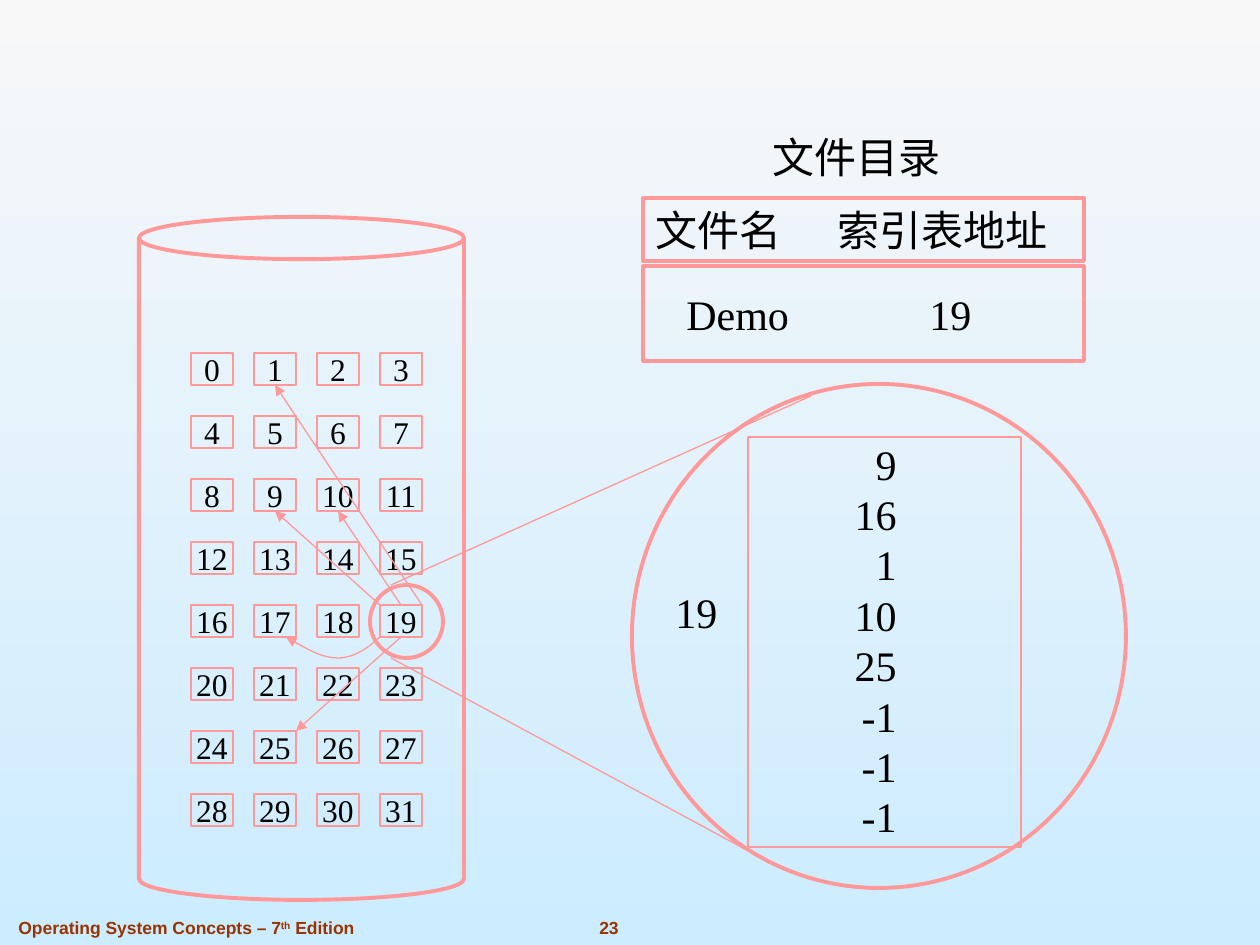
from lxml import etree
from pptx import Presentation
from pptx.dml.color import RGBColor
from pptx.enum.shapes import MSO_CONNECTOR, MSO_SHAPE
from pptx.enum.text import MSO_ANCHOR, PP_ALIGN
from pptx.oxml.ns import qn
from pptx.util import Pt

RECT, OVAL, CAN = MSO_SHAPE.RECTANGLE, MSO_SHAPE.OVAL, MSO_SHAPE.CAN
STRAIGHT = MSO_CONNECTOR.STRAIGHT
LEFT, CENTER, RIGHT = PP_ALIGN.LEFT, PP_ALIGN.CENTER, PP_ALIGN.RIGHT
TOP, MIDDLE = MSO_ANCHOR.TOP, MSO_ANCHOR.MIDDLE
PX = 914400 / 126
PINK, BLACK, BROWN = "FF9999", "000000", "993300"
color = RGBColor.from_string


def outline(shape, weight, arrow=False):
    shape.line.color.rgb = color(PINK)
    shape.line.width = Pt(weight)
    if arrow:
        etree.SubElement(shape.line._get_or_add_ln(), qn("a:tailEnd"), type="triangle")


def write(shape, lines, size=24, align=LEFT, anchor=TOP, wrap=True, tab=0,
          face="Times New Roman", ink=BLACK, bold=False):
    """Fill a shape with paragraphs; tab is the place of one tab stop in px."""
    frame = shape.text_frame
    frame.word_wrap = wrap
    frame.vertical_anchor = anchor
    frame.text = "\n".join(lines)
    for para in frame.paragraphs:
        para.alignment = align
        if tab:
            stops = etree.SubElement(para._p.get_or_add_pPr(), qn("a:tabLst"))
            etree.SubElement(stops, qn("a:tab"), pos=str(round(tab * PX)), algn="l")
        para.font.size = Pt(size)
        para.font.name = face
        para.font.bold = bold
        para.font.color.rgb = color(ink)


deck = Presentation()
deck.slide_width, deck.slide_height = round(1260 * PX), round(945 * PX)
slide = deck.slides.add_slide(deck.slide_layouts[6])
shapes = slide.shapes

back = slide.background.fill
back.gradient()
back.gradient_angle = 270
for stop, tint in zip(back.gradient_stops, ("F8F8F8", "CCECFF")):
    stop.color.rgb = color(tint)

# Outlined shapes: 32 disk blocks, then the larger frames
blocks = [(RECT, 191 + 63 * (n % 4), 353 + 63 * (n // 4), 42, 32, 0.75)
          for n in range(32)]
frames = [
    (CAN, 139, 217, 325, 683, 2.25),
    (RECT, 643, 198, 441, 63, 2.25),
    (RECT, 643, 266, 441, 95, 2.25),
    (OVAL, 370, 585, 73, 73, 2.25),
    (RECT, 748, 437, 273, 410, 0.75),
    (OVAL, 632, 384, 494, 504, 2.25),
]
drawn = []
for kind, x, y, w, h, weight in blocks + frames:
    shape = shapes.add_shape(kind, *(round(v * PX) for v in (x, y, w, h)))
    shape.shadow.inherit = False
    shape.fill.background()
    outline(shape, weight)
    drawn.append(shape)
cells = drawn[:32]
disk, header = drawn[32:34]
disk.adjustments[0] = 0.13
for n, cell in enumerate(cells):
    write(cell, [str(n)], 18, CENTER, MIDDLE, wrap=False)
write(header, ["文件名\t索引表地址"], tab=182)

# Free text
index = ["9", "16", "1", "10", "25", "-1", "-1", "-1"]
foot = {"size": 10, "face": "Arial", "ink": BROWN, "bold": True}
texts = [
    (760, 125, 200, 63, ["文件目录"], {}),
    (674, 282, 368, 63, ["Demo\t19"], {"tab": 243}),
    (838, 432, 71, 416, index, {"align": RIGHT}),
    (663, 580, 80, 63, ["19"], {}),
    (554, 911, 110, 34, ["23"], {"align": CENTER, **foot}),
    (6, 911, 400, 34, ["Operating System Concepts – 7"], foot),
]
for x, y, w, h, lines, style in texts:
    label = shapes.add_textbox(*(round(v * PX) for v in (x, y, w, h)))
    write(label, lines, **style)
title = label.text_frame.paragraphs[0]
raised = title.add_run()
raised.text = "th"
raised.font._element.set("baseline", "30000")
title.add_run().text = " Edition"

# Lines: ends in px, arrow, joined (block, side) at either end
links = [
    (422, 605, 275, 385, True, None, (1, 2)),
    (401, 605, 338, 511, True, (19, 0), (10, 2)),
    (380, 605, 275, 511, True, None, (9, 2)),
    (401, 637, 296, 731, True, (19, 2), None),
    (391, 585, 811, 396, False, None, None),
    (391, 658, 780, 868, False, None, None),
]
for x1, y1, x2, y2, arrow, start, end in links:
    link = shapes.add_connector(STRAIGHT, *(round(v * PX) for v in (x1, y1, x2, y2)))
    outline(link, 0.75, arrow)
    etree.SubElement(link._element.spPr, qn("a:effectLst"))
    if start:
        link.begin_connect(cells[start[0]], start[1])
    if end:
        link.end_connect(cells[end[0]], end[1])

# Curved arrow from block 19 to block 17: two Bezier pieces
pen = shapes.build_freeform(380, 637, scale=PX)
pen.add_line_segments([(368, 648), (354, 658), (338, 658),
                       (323, 658), (305, 648), (286, 637)], close=False)
curve = pen.convert_to_shape()
curve.shadow.inherit = False
curve.fill.background()
outline(curve, 0.75, True)
route = curve._element.find(".//" + qn("a:path"))
steps = route.findall(qn("a:lnTo"))
for i in range(0, len(steps), 3):
    bend = etree.SubElement(route, qn("a:cubicBezTo"))
    for step in steps[i:i + 3]:
        bend.append(step[0])
        route.remove(step)

deck.save("out.pptx")
